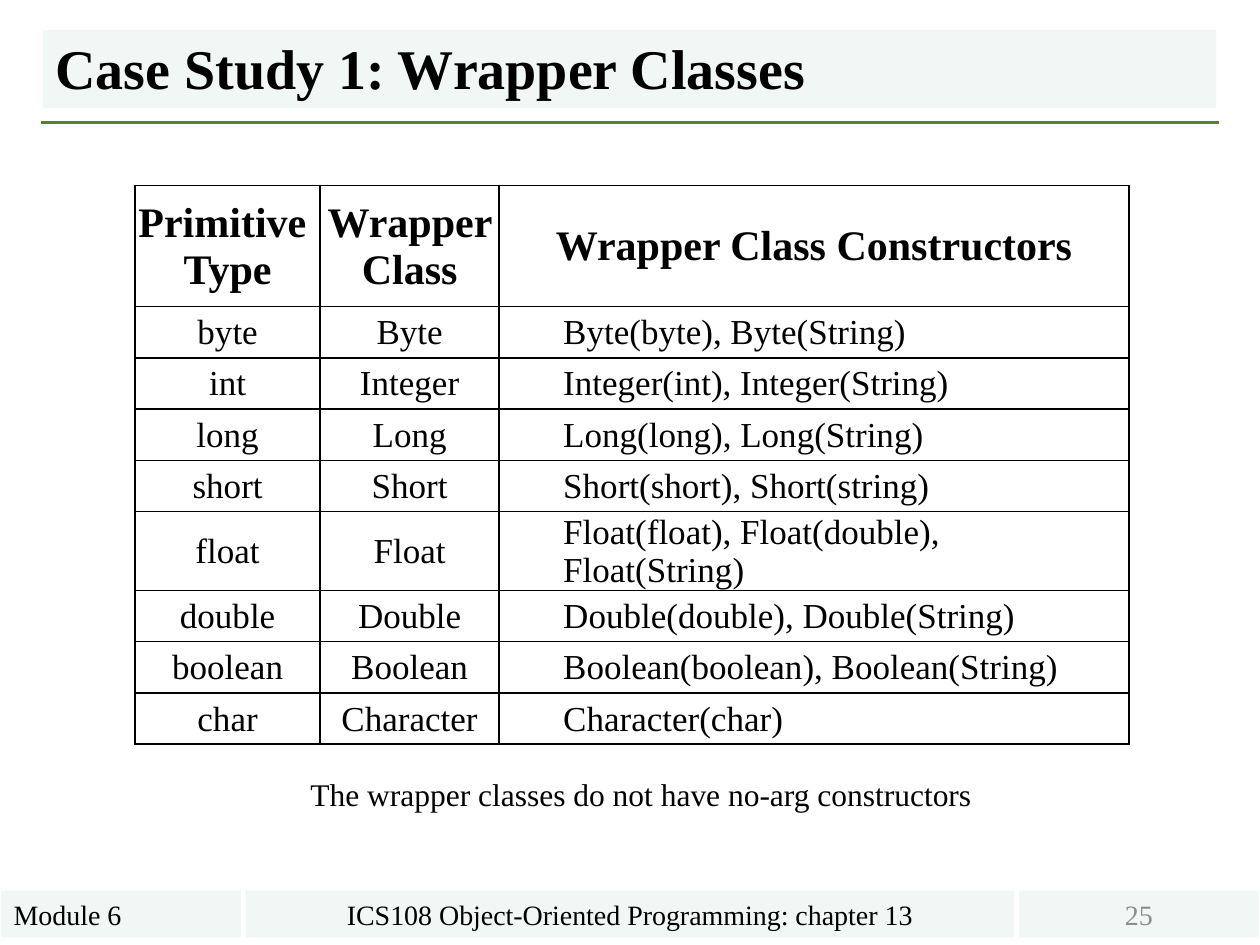
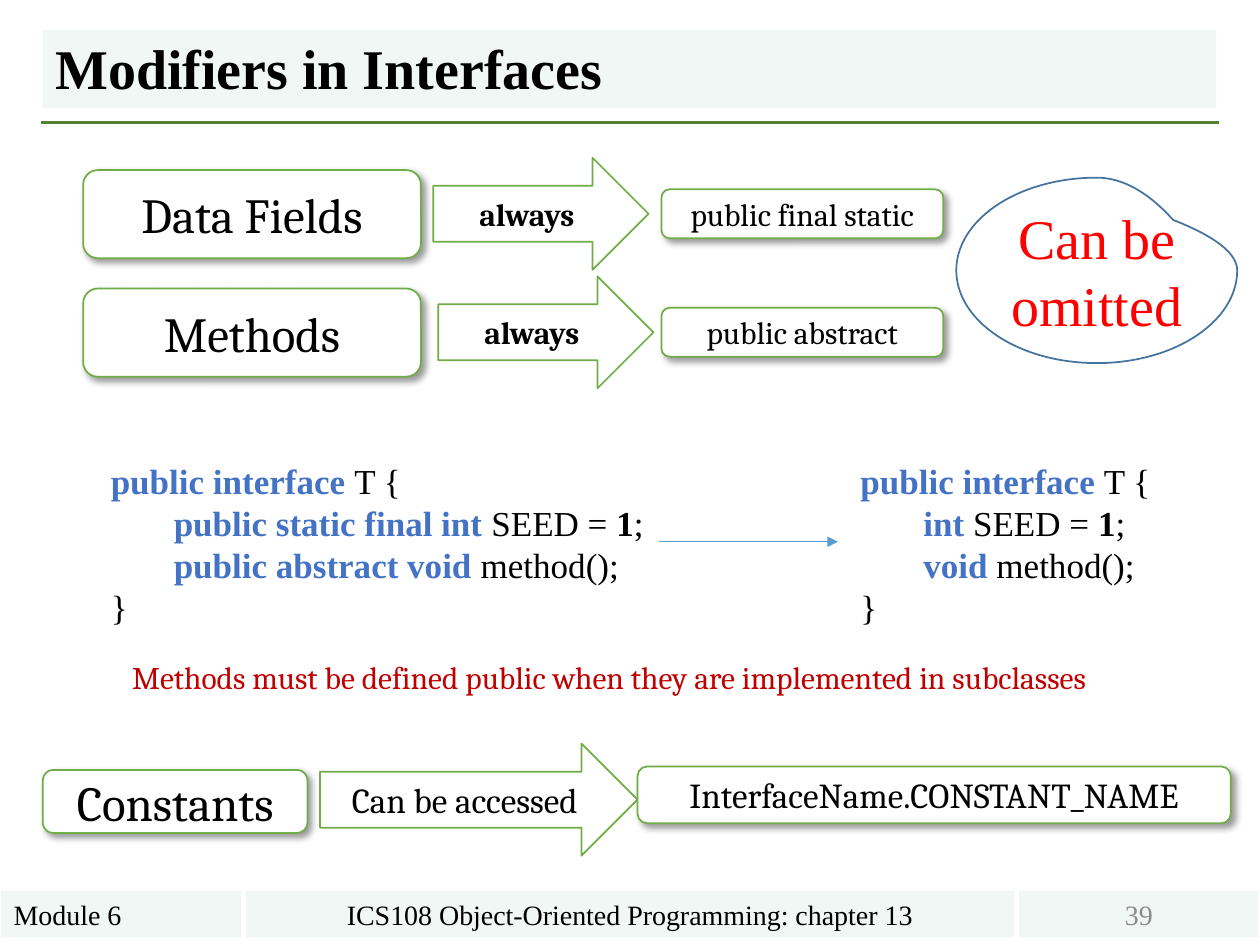
import pptx
import pptx.util
import pptx.dml.color
import pptx.enum.shapes
import pptx.enum.text
import pptx.oxml
import pptx.oxml.ns

Pt = pptx.util.Pt
SHAPE = pptx.enum.shapes.MSO_SHAPE
ALIGN = pptx.enum.text.PP_ALIGN
ANCHOR = pptx.enum.text.MSO_ANCHOR
NAMESPACE = pptx.oxml.ns.nsdecls("a")
SERIF, CAMBRIA = "Times New Roman", "Cambria"
COLORS = {
    "band": "F1F7F4", "rule": "548235", "text": "000000", "number": "8C8C8C",
    "white": "FFFFFF", "green": "70AD47", "drop": "43739E", "red": "FF0000",
    "warning": "C00000", "keyword": "4472C4", "arrow": "5B9BD5",
}


def style_font(font, size, name=SERIF, color="text", bold=False):
    font.size, font.name, font.bold = Pt(size), name, bold
    font.color.rgb = pptx.dml.color.RGBColor.from_string(COLORS[color])


def add_box(page, kind, place, text, size, name=SERIF, color="text", bold=False,
            fill=None, line=None, shadow=False, align=ALIGN.CENTER, anchor=ANCHOR.MIDDLE):
    """Add a preset shape holding one paragraph; place is left, top, width, height."""
    box = page.shapes.add_shape(kind, *map(Pt, place))
    box.shadow.inherit = False
    if shadow:
        effects = box.element.spPr.find(pptx.oxml.ns.qn("a:effectLst"))
        effects.append(pptx.oxml.parse_xml(
            f'<a:outerShdw {NAMESPACE} blurRad="50800" dist="38100" dir="2700000" algn="tl" '
            'rotWithShape="0"><a:srgbClr val="000000"><a:alpha val="40000"/></a:srgbClr>'
            '</a:outerShdw>'))
    if fill:
        box.fill.solid()
        box.fill.fore_color.rgb = pptx.dml.color.RGBColor.from_string(COLORS[fill])
    else:
        box.fill.background()
    if line:
        box.line.color.rgb = pptx.dml.color.RGBColor.from_string(COLORS[line])
        box.line.width = Pt(1)
    else:
        box.line.fill.background()
    box.text_frame.word_wrap = True
    box.text_frame.vertical_anchor = anchor
    para = box.text_frame.paragraphs[0]
    para.text, para.alignment = text, align
    style_font(para.font, size, name, color, bold)
    return box


deck = pptx.Presentation()
deck.slide_width, deck.slide_height = Pt(720), Pt(540)

# Title band, rule and footer on both pages
pages = []
for title, number in [("Case Study 1: Wrapper Classes", "25"), ("Modifiers in Interfaces", "39")]:
    page = deck.slides.add_slide(deck.slide_layouts[6])
    pages.append(page)
    rule = page.shapes.add_connector(
        pptx.enum.shapes.MSO_CONNECTOR.STRAIGHT, Pt(23.6), Pt(70), Pt(696.4), Pt(70))
    rule.line.color.rgb = pptx.dml.color.RGBColor.from_string(COLORS["rule"])
    rule.line.width = Pt(1.5)
    rule.element.spPr.append(pptx.oxml.parse_xml(f"<a:effectLst {NAMESPACE}/>"))
    heading = add_box(page, SHAPE.RECTANGLE, (24.5, 17.3, 670.5, 44.5), title, 32, bold=True,
                      fill="band", align=ALIGN.LEFT, anchor=ANCHOR.BOTTOM)
    heading.text_frame.paragraphs[0].line_spacing = 0.9
    for left, width, text, color, align in [
            (0.7, 137, "Module 6", "text", ALIGN.LEFT),
            (140.4, 439.2, "ICS108 Object-Oriented Programming: chapter 13", "text", ALIGN.CENTER),
            (582.3, 137, number, "number", ALIGN.CENTER)]:
        add_box(page, SHAPE.RECTANGLE, (left, 509, width, 26.7), text, 16, color=color,
                fill="band", align=align)
wrapper_page, modifier_page = pages

# Wrapper classes
wrapper_rows = [
    ("Primitive \nType", "Wrapper Class", "Wrapper Class Constructors"),
    ("byte", "Byte", "Byte(byte), Byte(String)"),
    ("int", "Integer", "Integer(int), Integer(String)"),
    ("long", "Long", "Long(long), Long(String)"),
    ("short", "Short", "Short(short), Short(string)"),
    ("float", "Float", "Float(float), Float(double), Float(String)"),
    ("double", "Double", "Double(double), Double(String)"),
    ("boolean", "Boolean", "Boolean(boolean), Boolean(String)"),
    ("char", "Character", "Character(char)"),
]
table = wrapper_page.shapes.add_table(
    len(wrapper_rows), 3, Pt(77.2), Pt(106), Pt(568), Pt(303.6)).table
table.first_row = table.horz_banding = False
for column, width in zip(table.columns, (105.8, 102.2, 360)):
    column.width = Pt(width)
for row_index, texts in enumerate(wrapper_rows):
    header = row_index == 0
    table.rows[row_index].height = Pt(69.2 if header else 29.3)
    for column_index, text in enumerate(texts):
        cell = table.cell(row_index, column_index)
        cell.text = text
        cell.vertical_anchor = ANCHOR.MIDDLE
        cell.margin_left = cell.margin_top = cell.margin_right = Pt(0.7)
        cell.margin_bottom = 0
        for para in cell.text_frame.paragraphs:
            if column_index == 2 and not header:
                para.alignment = ALIGN.LEFT
                para._p.get_or_add_pPr().set("marL", str(Pt(36)))
            else:
                para.alignment = ALIGN.CENTER
            style_font(para.font, 24 if header else 20, bold=header)
        cell_properties = cell._tc.get_or_add_tcPr()
        for side in ("lnL", "lnR", "lnT", "lnB"):
            cell_properties.append(pptx.oxml.parse_xml(
                f'<a:{side} {NAMESPACE} w="12700"><a:solidFill>'
                f'<a:srgbClr val="{COLORS["text"]}"/></a:solidFill></a:{side}>'))
        cell.fill.background()

add_box(wrapper_page, SHAPE.RECTANGLE, (162.7, 439.2, 407.5, 29),
        "The wrapper classes do not have no-arg constructors", 18)

# Implied modifiers
outline = {"name": CAMBRIA, "line": "green"}
card = {**outline, "fill": "white", "shadow": True}
for top, arrow_left, member, modifiers in [
        (97.2, 247.6, "Data Fields", "public final static"),
        (164.9, 250.4, "Methods", "public abstract")]:
    add_box(modifier_page, SHAPE.ROUNDED_RECTANGLE, (47.5, top, 193, 50.4), member, 28, **card)
    add_box(modifier_page, SHAPE.ROUNDED_RECTANGLE, (378, top + 11, 161, 28), modifiers, 18, **card)
    add_box(modifier_page, SHAPE.RIGHT_ARROW, (arrow_left, top - 7, 123, 64), "always", 18,
            bold=True, **outline)
drop = add_box(modifier_page, SHAPE.TEAR, (546.5, 101.5, 160.5, 106), "Can be omitted", 32,
               color="red", fill="white", line="drop")
drop.adjustments[0] = 0.544

# Access to constants
add_box(modifier_page, SHAPE.ROUNDED_RECTANGLE, (24.5, 440, 151.2, 36), "Constants", 28, **card)
add_box(modifier_page, SHAPE.ROUNDED_RECTANGLE, (364.3, 438, 339, 32.4),
        "InterfaceName.CONSTANT_NAME", 20, **card)
add_box(modifier_page, SHAPE.RIGHT_ARROW, (182.9, 425, 181.4, 64), "Can be accessed", 20, **outline)
add_box(modifier_page, SHAPE.RECTANGLE, (34.6, 372.2, 627, 29),
        "Methods must be defined public when they are implemented in subclasses", 18,
        CAMBRIA, "warning")

# Full and shortened interface code
code_boxes = []
for left, width, field_words, method_words in [
        (56.2, 320.4, "public static final int ", "public abstract void "),
        (484.6, 189.4, "int ", "void ")]:
    code = modifier_page.shapes.add_textbox(Pt(left), Pt(259.2), Pt(width), Pt(100.8))
    code_boxes.append(code)
    code.text_frame.word_wrap = False
    code_lines = [
        (0, [("public interface ", "keyword", True), ("T {", "text", False)]),
        (36, [(field_words, "keyword", True), ("SEED = ", "text", False),
              ("1", "text", True), (";", "text", False)]),
        (36, [(method_words, "keyword", True), ("method();", "text", False)]),
        (0, [("}", "text", False)]),
    ]
    for line_index, (indent, spans) in enumerate(code_lines):
        para = code.text_frame.paragraphs[0] if line_index == 0 else code.text_frame.add_paragraph()
        para._p.get_or_add_pPr().set("marL", str(Pt(indent)))
        para.line_spacing = Pt(24)
        for text, color, bold in spans:
            span = para.add_run()
            span.text = text
            style_font(span.font, 20, color=color, bold=bold)

arrow = modifier_page.shapes.add_connector(
    pptx.enum.shapes.MSO_CONNECTOR.STRAIGHT, Pt(376.6), Pt(309.6), Pt(478.8), Pt(309.6))
arrow.begin_connect(code_boxes[0], 3)
arrow.line.color.rgb = pptx.dml.color.RGBColor.from_string(COLORS["arrow"])
arrow.line.width = Pt(0.5)
arrow.line._get_or_add_ln().append(pptx.oxml.parse_xml(f'<a:tailEnd {NAMESPACE} type="triangle"/>'))
arrow.element.spPr.append(pptx.oxml.parse_xml(f"<a:effectLst {NAMESPACE}/>"))

deck.save("out.pptx")
